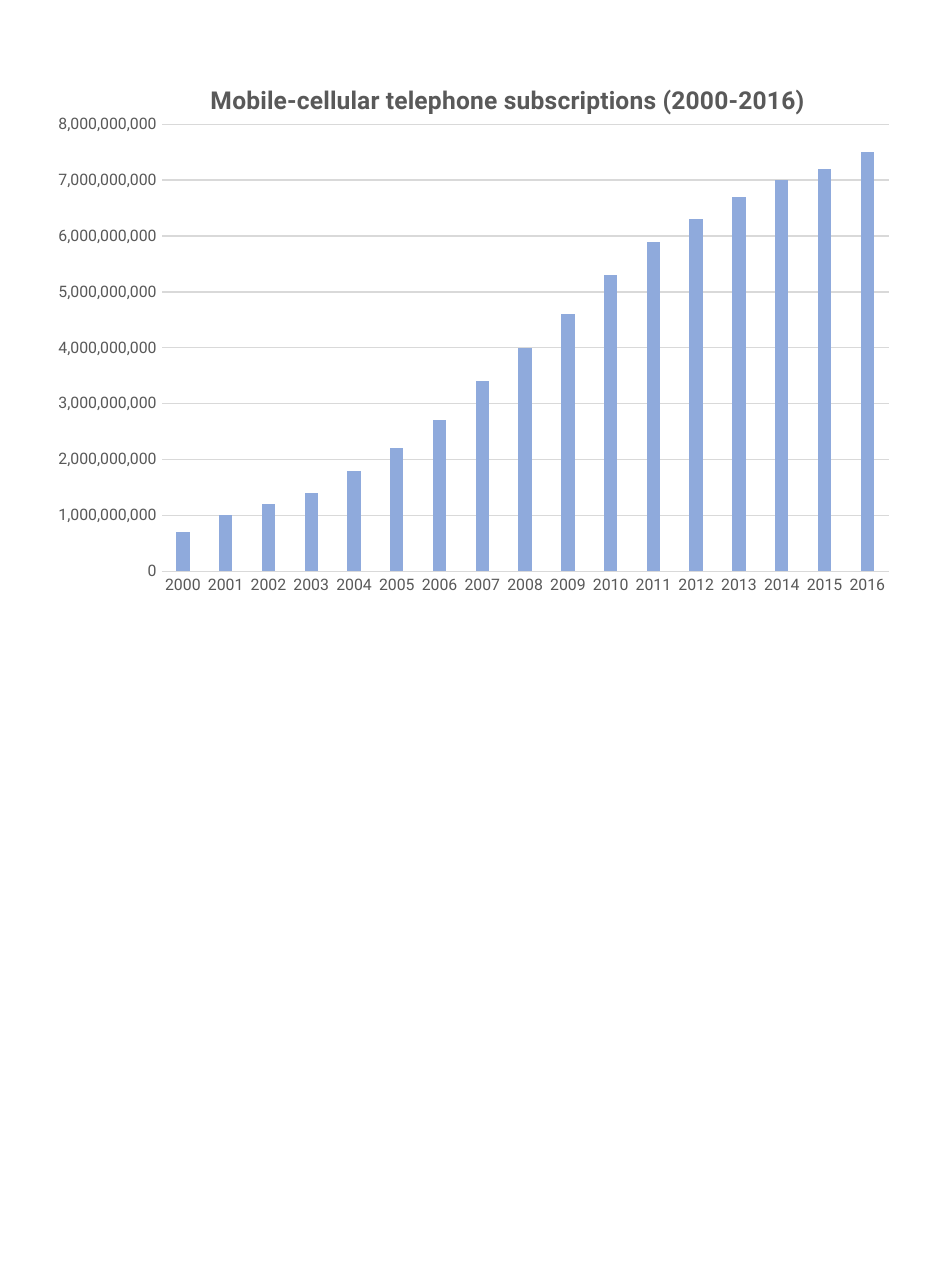
from pptx import Presentation
from pptx.chart.data import CategoryChartData
from pptx.dml.color import RGBColor
from pptx.enum.chart import XL_CHART_TYPE as ChartType, XL_TICK_MARK as TickMark
from pptx.oxml import parse_xml
from pptx.oxml.ns import nsdecls, qn
from pptx.util import Inches, Pt

GREY = RGBColor(0x59, 0x59, 0x59)
LIGHT_GREY = RGBColor(0xD9, 0xD9, 0xD9)
BLUE = RGBColor(0x8F, 0xAA, 0xDC)
FONT = "Roboto"


def write(frame, text, size, color, bold=False):
    run = frame.paragraphs[0].add_run()
    run.text = text
    run.font.name = FONT
    run.font.size = Pt(size)
    run.font.bold = bold
    run.font.color.rgb = color


def place(part, index, **position):
    """Give a chart part a manual layout, in fractions of the chart."""
    for old in part.findall(qn("c:layout")):
        part.remove(old)
    target = '<c:layoutTarget val="inner"/>' if "w" in position else ""
    modes = "".join(f'<c:{key}Mode val="edge"/>' for key in ("x", "y"))
    values = "".join(f'<c:{key} val="{value}"/>' for key, value in position.items())
    part.insert(index, parse_xml(
        f'<c:layout {nsdecls("c")}><c:manualLayout>{target}{modes}{values}'
        "</c:manualLayout></c:layout>"))


deck = Presentation()
deck.slide_width, deck.slide_height = Inches(7.5), Inches(10.19)
slide = deck.slides.add_slide(deck.slide_layouts[6])

# Subscriptions per year, in billions
billions = [0.7, 1, 1.2, 1.4, 1.8, 2.2, 2.7, 3.4, 4, 4.6, 5.3, 5.9, 6.3, 6.7, 7, 7.2, 7.5]
data = CategoryChartData(number_format="#,##0")
data.categories = [str(year) for year in range(2000, 2017)]
data.add_series("Series 1", [round(value * 10**9) for value in billions])

chart = slide.shapes.add_chart(
    ChartType.COLUMN_CLUSTERED, Inches(0.32), Inches(0.44), Inches(6.89), Inches(4.56), data).chart
chart.has_legend = False
chart.font.name = FONT
chart.font.size = Pt(10)

# Title
write(chart.chart_title.text_frame, "Mobile-cellular telephone subscriptions (2000-2016)",
      size=14, color=GREY, bold=True)
place(chart.chart_title._element, 1, x=0.19, y=0.04)

# Columns
columns = chart.plots[0]
columns.gap_width = 219
columns.overlap = -27
columns.vary_by_categories = False
subscriptions = columns.series[0]
subscriptions.format.fill.solid()
subscriptions.format.fill.fore_color.rgb = BLUE
place(chart._chartSpace.chart.plotArea, 0, x=0.139, y=0.119, w=0.835, h=0.776)

# Axes
years, counts = chart.category_axis, chart.value_axis
for axis in (years, counts):
    axis.major_tick_mark = axis.minor_tick_mark = TickMark.NONE
    axis.tick_labels.font.name = FONT
    axis.tick_labels.font.size = Pt(9)
    axis.tick_labels.font.color.rgb = GREY

counts.minimum_scale = 0
counts.maximum_scale = 8 * 10**9
counts.major_unit = 10**9
counts.tick_labels.number_format = "#,##0"
counts.tick_labels.number_format_is_linked = False
counts.format.line.fill.background()
counts.has_major_gridlines = True
for line in (years.format.line, counts.major_gridlines.format.line):
    line.color.rgb = LIGHT_GREY
    line.width = Pt(0.75)

deck.save("out.pptx")
